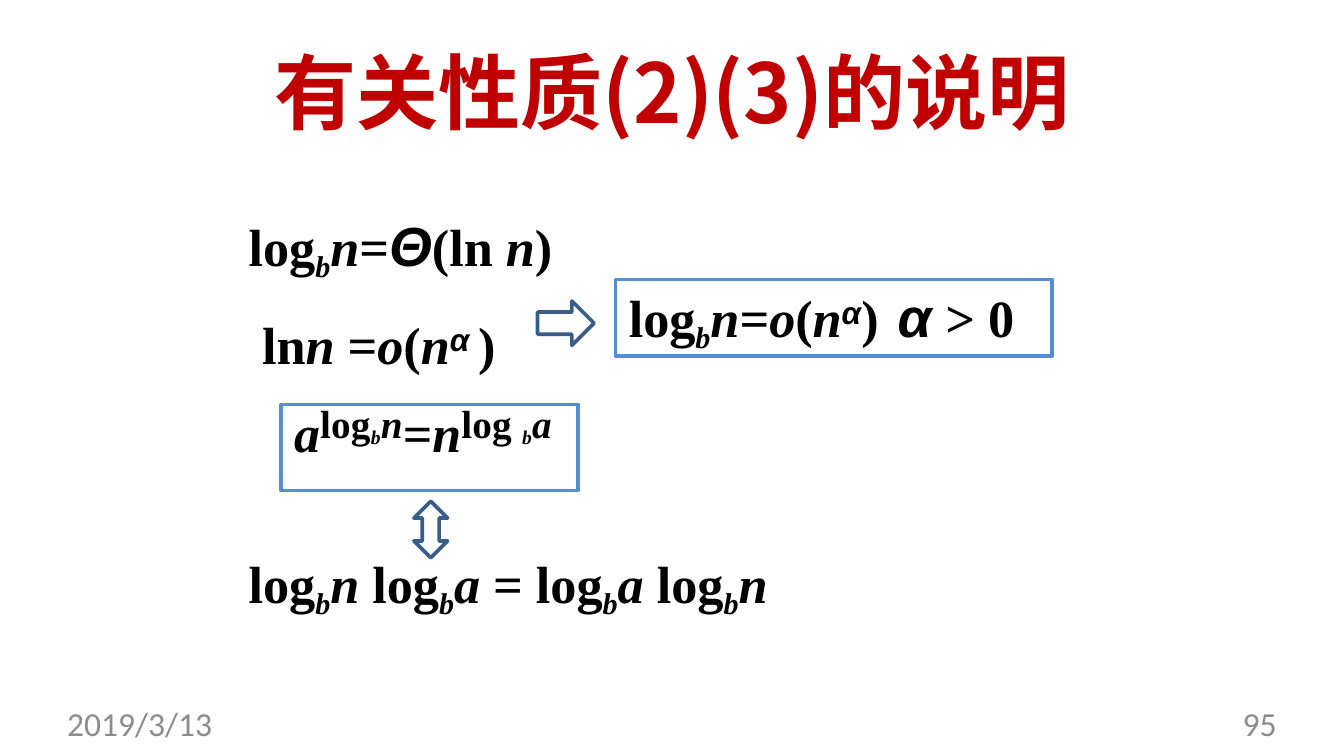
from lxml import etree
from pptx import Presentation
from pptx.dml.color import RGBColor
from pptx.enum import shapes, text
from pptx.oxml.ns import qn
from pptx.util import Inches, Pt

COLORS = {"title": "C00000", "ink": "000000", "box": "558ED5",
          "arrow": "385D8A", "footer": "8C8C8C"}
SERIF, GREEK, CJK = "Times New Roman", "Arial", "Noto Sans CJK SC"

# Math styles: font, size, italic, baseline %, letter spacing in 1/100 pt
STYLES = {
    "up": (SERIF, 28, False, 0, 0),
    "var": (SERIF, 28, True, 0, 0),
    "sub": (SERIF, 27.8, True, -21, 0),
    "sup": (GREEK, 29.2, True, 24, -10),
    "greek": (GREEK, 29.5, True, 0, -10),
    "alpha": (GREEK, 29.5, True, 0, -90),
    "base": (SERIF, 48, True, -16, -10),
    "equals": (SERIF, 48, False, -16, -10),
    "exp": (SERIF, 21, False, 0, 10),
    "exp_var": (SERIF, 21, True, 0, 10),
    "exp_sub": (SERIF, 18, True, -19, 10),
}
LOG_B = [("log", "up"), ("b", "sub")]


def color(name):
    return RGBColor.from_string(COLORS[name])


def prepare(sp, top=0, left=0):
    """Set the margins and return the first paragraph."""
    tf = sp.text_frame
    tf.word_wrap = True
    tf.vertical_anchor = text.MSO_ANCHOR.TOP
    tf.margin_right = tf.margin_bottom = 0
    tf.margin_left, tf.margin_top = Inches(left), Inches(top)
    return tf.paragraphs[0]


def add_outline(s, kind, box, line):
    sp = s.shapes.add_shape(kind, *map(Inches, box))
    sp.shadow.inherit = False
    sp.fill.background()
    sp.line.color.rgb = color(line)
    sp.line.width = Pt(1.98)
    return sp


def add_label(s, box, words, size, name, font, align, bold=False):
    sp = s.shapes.add_textbox(*map(Inches, box))
    p = prepare(sp, 0.02 if bold else 0)
    p.text = words
    p.alignment = align
    f = p.runs[0].font
    f.name, f.size, f.bold = font, Pt(size), bold
    f.color.rgb = color(name)
    rPr = p.runs[0]._r.get_or_add_rPr()
    etree.SubElement(rPr, qn("a:ea")).set("typeface", font)
    if bold:
        rPr.set("spc", "-10")


def write_math(p, parts, indent=0, tab=None):
    p.alignment = text.PP_ALIGN.LEFT
    pPr = p._p.get_or_add_pPr()
    pPr.set("marL", str(Inches(indent)))
    pPr.set("indent", "0")
    if tab:
        tabs = etree.SubElement(pPr, qn("a:tabLst"))
        etree.SubElement(tabs, qn("a:tab"), pos=str(Inches(tab)), algn="l")
    for words, style in parts:
        font, size, italic, baseline, spacing = STYLES[style]
        r = p.add_run()
        r.text = words
        r.font.name, r.font.size = font, Pt(size)
        r.font.bold, r.font.italic = True, italic
        r.font.color.rgb = color("ink")
        rPr = r._r.get_or_add_rPr()
        rPr.set("baseline", str(baseline * 1000))
        rPr.set("spc", str(spacing))


def add_premises(s, box):
    sp = s.shapes.add_textbox(*map(Inches, box))
    first = prepare(sp, 0.02)
    second = sp.text_frame.add_paragraph()
    first.line_spacing = second.line_spacing = 1.4
    write_math(first, LOG_B + [("n", "var"), ("=", "up"), ("Θ", "greek"),
                               ("(ln ", "up"), ("n", "var"), (")", "up")], 0.04)
    write_math(second, [("ln", "up"), ("n ", "var"), ("=", "up"), ("o", "var"),
                        ("(", "up"), ("n", "var"), ("α ", "sup"), (")", "up")], 0.14)


def add_conclusion(s, box):
    sp = add_outline(s, shapes.MSO_SHAPE.RECTANGLE, box, "box")
    write_math(prepare(sp, 0.02, left=0.1),
               LOG_B + [("n", "var"), ("=", "up"), ("o", "var"), ("(", "up"),
                        ("n", "var"), ("α", "sup"), (")\t", "up"),
                        ("α ", "alpha"), ("> 0", "up")], tab=2.2)


def add_power_identity(s, box):
    sp = add_outline(s, shapes.MSO_SHAPE.RECTANGLE, box, "box")
    p = prepare(sp, left=0.1)
    p.line_spacing = Pt(31.3)
    write_math(p, [("a", "base"), ("log", "exp"), ("b", "exp_sub"),
                   ("n", "exp_var"), ("=", "equals"), ("n", "base"),
                   ("log ", "exp"), ("b", "exp_sub"), ("a", "exp_var")])


def add_log_identity(s, box):
    sp = s.shapes.add_textbox(*map(Inches, box))
    write_math(prepare(sp, 0.01),
               LOG_B + [("n ", "var")] + LOG_B + [("a ", "var"), ("= ", "up")]
               + LOG_B + [("a ", "var")] + LOG_B + [("n", "var")], 0.04)


def main():
    prs = Presentation()
    prs.slide_width, prs.slide_height = Inches(10), Inches(10 * 9 / 16)
    s = prs.slides.add_slide(prs.slide_layouts[6])
    align = text.PP_ALIGN

    # Title
    add_label(s, (0.5, 0.29, 9, 0.75), "有关性质(2)(3)的说明", 44, "title",
              CJK, align.CENTER, bold=True)

    # Formulas
    add_premises(s, (1.81, 1.34, 2.34, 1.39))
    add_conclusion(s, (4.58, 2.08, 3.25, 0.57))
    add_power_identity(s, (2.09, 3.01, 2.21, 0.64))
    add_log_identity(s, (1.81, 4.09, 4.03, 0.5))

    # Implication and equivalence arrows
    add_outline(s, shapes.MSO_SHAPE.RIGHT_ARROW, (4, 2.24, 0.42, 0.33), "arrow")
    add_outline(s, shapes.MSO_SHAPE.UP_DOWN_ARROW, (3.08, 3.73, 0.25, 0.42), "arrow")

    # Footer
    for left, words, side in ((0.5, "2019/3/13", align.LEFT), (7.2, "95", align.RIGHT)):
        add_label(s, (left, 5.23, 2.3, 0.28), words, 18, "footer", "Calibri", side)

    prs.save("out.pptx")


if __name__ == "__main__":
    main()
